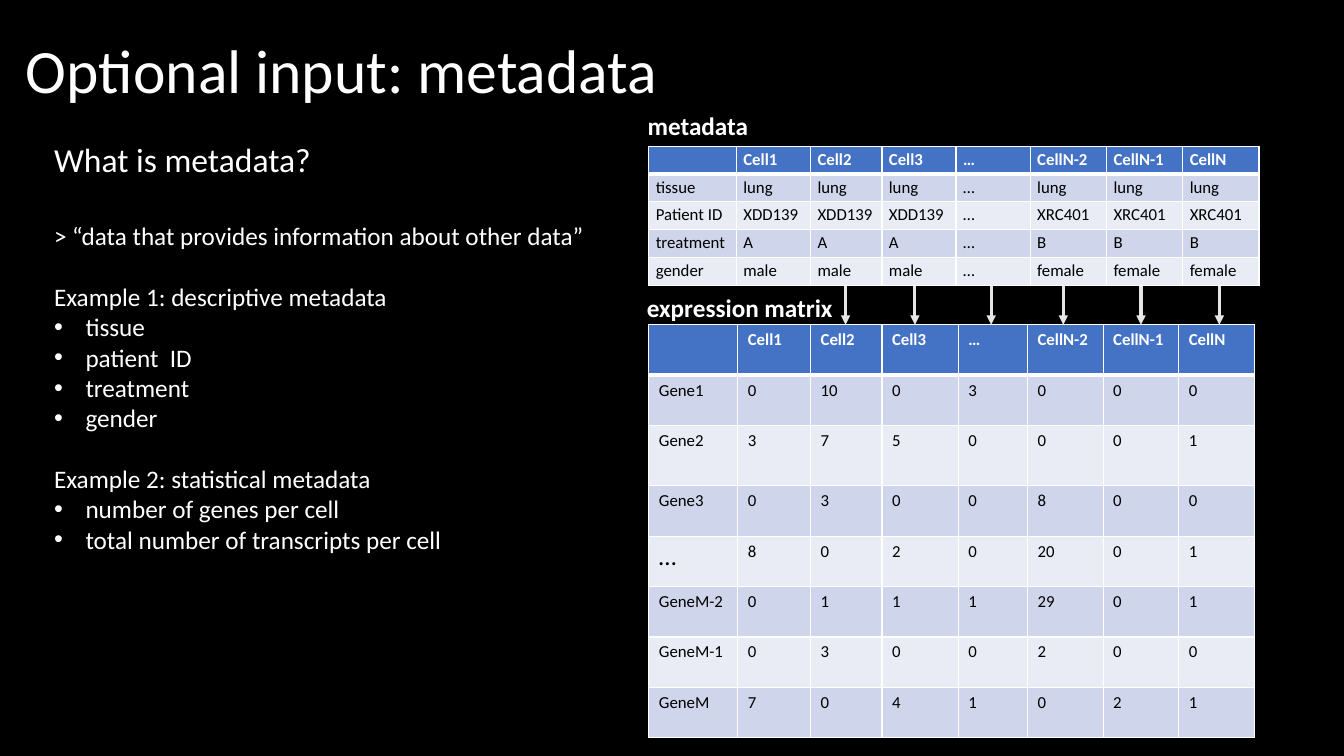
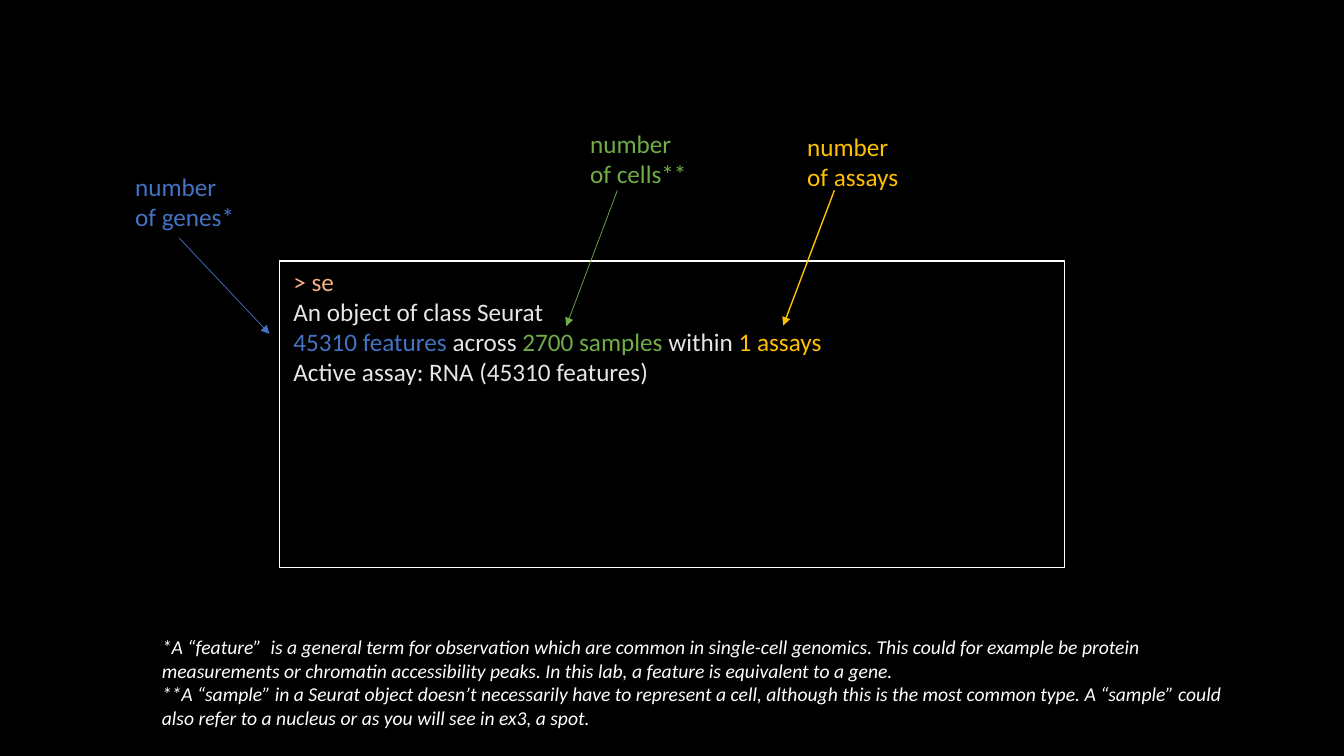
from lxml.etree import SubElement as Sub
from pptx import Presentation
from pptx.dml.color import RGBColor as RGB
from pptx.enum.shapes import MSO_CONNECTOR as LINE, MSO_SHAPE as SHAPE
from pptx.enum.text import MSO_ANCHOR as ANCHOR
from pptx.oxml.ns import qn
from pptx.util import Pt

FONT = "Calibri"
BLACK = RGB(0x00, 0x00, 0x00)
WHITE = RGB(0xFF, 0xFF, 0xFF)
GREY = RGB(0xE7, 0xE6, 0xE6)
BLUE = RGB(0x44, 0x72, 0xC4)
GREEN = RGB(0x70, 0xAD, 0x47)
GOLD = RGB(0xFF, 0xC0, 0x00)
PEACH = RGB(0xF4, 0xB1, 0x83)
BANDS = RGB(0xE9, 0xEB, 0xF5), RGB(0xCF, 0xD5, 0xEA)

CELLS = ["Cell1", "Cell2", "Cell3", "…", "CellN-2", "CellN-1", "CellN"]
META = [
    ["", *CELLS],
    ["tissue", *["lung"] * 3, "…", *["lung"] * 3],
    ["Patient ID", *["XDD139"] * 3, "…", *["XRC401"] * 3],
    ["treatment", *["A"] * 3, "…", *["B"] * 3],
    ["gender", *["male"] * 3, "…", *["female"] * 3],
]
MATRIX = [
    ["", *CELLS],
    ["Gene1", 0, 10, 0, 3, 0, 0, 0],
    ["Gene2", 3, 7, 5, 0, 0, 0, 1],
    ["Gene3", 0, 3, 0, 0, 8, 0, 0],
    ["…", 8, 0, 2, 0, 20, 0, 1],
    ["GeneM-2", 0, 1, 1, 1, 29, 0, 1],
    ["GeneM-1", 0, 3, 0, 0, 2, 0, 0],
    ["GeneM", 7, 0, 4, 1, 0, 2, 1],
]


def style(font, size, color, bold=False, italic=False):
    font.name, font.size = FONT, Pt(size)
    font.bold, font.italic = bold, italic
    font.color.rgb = color


def page(deck):
    """Blank slide on black."""
    slide = deck.slides.add_slide(deck.slide_layouts[6])
    fill = slide.background.fill
    fill.solid()
    fill.fore_color.rgb = BLACK
    return slide


def text(slide, area, lines, size=18, color=WHITE, **look):
    """Text box; a line is a string or a list of (words, colour) runs."""
    frame = slide.shapes.add_textbox(*map(Pt, area)).text_frame
    frame.word_wrap = True
    for i, line in enumerate(lines):
        para = frame.add_paragraph() if i else frame.paragraphs[0]
        style(para.font, size, color, **look)
        if isinstance(line, str):
            para.text = line
            continue
        for words, tint in line:
            run = para.add_run()
            run.text = words
            run.font.color.rgb = tint
    return frame


def title(slide, words):
    frame = text(slide, (11.5, 0, 828, 104.4), [words], 44)
    frame.vertical_anchor = ANCHOR.MIDDLE
    frame.paragraphs[0].line_spacing = 0.9


def bullet(para):
    props = para._p.get_or_add_pPr()
    props.set("marL", str(Pt(22.5)))
    props.set("indent", str(-Pt(22.5)))
    # Bullet marks come before the default run properties
    font = props.makeelement(qn("a:buFont"), {"typeface": "Arial"})
    char = props.makeelement(qn("a:buChar"), {"char": "•"})
    mark = props.find(qn("a:defRPr"))
    mark.addprevious(font)
    mark.addprevious(char)


def arrow(slide, start, end, color, width):
    line = slide.shapes.add_connector(LINE.STRAIGHT, *map(Pt, start + end))
    line.line.color.rgb = color
    line.line.width = Pt(width)
    Sub(line.line._get_or_add_ln(), qn("a:tailEnd"), type="triangle")
    Sub(line._element.spPr, qn("a:effectLst"))


def border(cell, row):
    """White rules, thick below the header."""
    thick = {"lnT": row == 1, "lnB": row == 0}
    props = cell._tc.get_or_add_tcPr()
    for side in ("lnL", "lnR", "lnT", "lnB"):
        width = Pt(3 if thick.get(side) else 1)
        rule = Sub(props, qn("a:" + side), w=str(width))
        Sub(Sub(rule, qn("a:solidFill")), qn("a:srgbClr"), val=str(WHITE))


def grid(slide, x, y, rows, widths, heights, pad=(7.2, 3.6)):
    size = map(Pt, (x, y, sum(widths), sum(heights)))
    table = slide.shapes.add_table(len(rows), len(widths), *size).table
    for col, width in zip(table.columns, widths):
        col.width = Pt(width)
    for r, (row, height) in enumerate(zip(rows, heights)):
        table.rows[r].height = Pt(height)
        for c, value in enumerate(row):
            cell = table.cell(r, c)
            border(cell, r)
            cell.fill.solid()
            cell.fill.fore_color.rgb = BANDS[r % 2] if r else BLUE
            cell.margin_left = cell.margin_right = Pt(pad[0])
            cell.margin_top = cell.margin_bottom = Pt(pad[1])
            para = cell.text_frame.paragraphs[0]
            para.text = str(value)
            large = r and c == 0 and value == "…"
            style(para.font, 18 if large else 12,
                  BLACK if r else WHITE, bold=r == 0)


def intro(slide):
    """Explanation of metadata in the left column."""
    lines = [
        "What is metadata?",
        "> “data that provides information about other data”",
        "Example 1: descriptive metadata",
        "tissue", "patient  ID", "treatment", "gender",
        "Example 2: statistical metadata",
        "number of genes per cell", "total number of transcripts per cell",
    ]
    paras = text(slide, (31.5, 95.8, 411, 327), lines).paragraphs
    paras[0].font.size = Pt(24)
    paras[1].space_before = Pt(29.3)
    for i, para in enumerate(paras[2:]):
        if lines[i + 2].startswith("Example"):
            para.space_before = Pt(22)
        else:
            bullet(para)


def inputs(deck):
    slide = page(deck)
    title(slide, "Optional input: metadata")
    intro(slide)

    # Tables and their headings
    grid(slide, 463.5, 232, MATRIX,
         [63.5, 52, 51, 54.5, 49.5, 54, 54, 54],
         [36, 36, 43, 36, 36, 36, 36, 36])
    grid(slide, 463.5, 104.5, META,
         [62.5, 53, 51, 53, 53, 54.5, 54.5, 54.5], [19.85] * 5, (5, 2.2))
    text(slide, (455.5, 75.5, 100, 29), ["metadata"], bold=True)
    text(slide, (455, 205.5, 160, 29), ["expression matrix"], bold=True)

    # Links from metadata to matrix columns
    for x in (604, 653.5, 708, 759.5, 815, 871):
        arrow(slide, (x, 204), (x, 232), GREY, 2.25)


def output(deck):
    slide = page(deck)

    # Console
    frame = slide.shapes.add_shape(
        SHAPE.RECTANGLE, *map(Pt, (199.5, 186.5, 561, 219)))
    frame.shadow.inherit = False
    frame.fill.background()
    frame.line.color.rgb = WHITE
    frame.line.width = Pt(1)
    text(slide, (202.5, 186.5, 515, 94.5), [
        [("> se", PEACH)],
        "An object of class Seurat",
        [("45310 features", BLUE), (" across ", GREY),
         ("2700 samples ", GREEN), ("within ", GREY), ("1 assays", GOLD)],
        "Active assay: RNA (45310 features)",
    ], color=GREY)

    # Labels with arrows
    for noun, color, x, y, start, end, width in (
        ("genes*", BLUE, 89.5, 119, (128, 170), (192.5, 238.5), 0.5),
        ("cells**", GREEN, 414.5, 88, (441, 136), (404.5, 233), 0.5),
        ("assays", GOLD, 569.5, 90, (596, 136), (559.5, 232.5), 1),
    ):
        text(slide, (x, y, 108, 51), ["number", "of " + noun], color=color)
        arrow(slide, start, end, color, width)

    # Footnotes
    text(slide, (108.5, 450, 790.5, 90), [
        "*A “feature”  is a general term for observation which are common in "
        "single-cell genomics. This could for example be protein measurements "
        "or chromatin accessibility peaks. In this lab, a feature is "
        "equivalent to a gene.",
        "**A “sample” in a Seurat object doesn’t necessarily have to represent "
        "a cell, although this is the most common type. A “sample” could also "
        "refer to a nucleus or as you will see in ex3, a spot.",
    ], 14, italic=True)


def main():
    deck = Presentation()
    deck.slide_width, deck.slide_height = Pt(960), Pt(540)
    inputs(deck)
    output(deck)
    deck.save("out.pptx")


if __name__ == "__main__":
    main()
